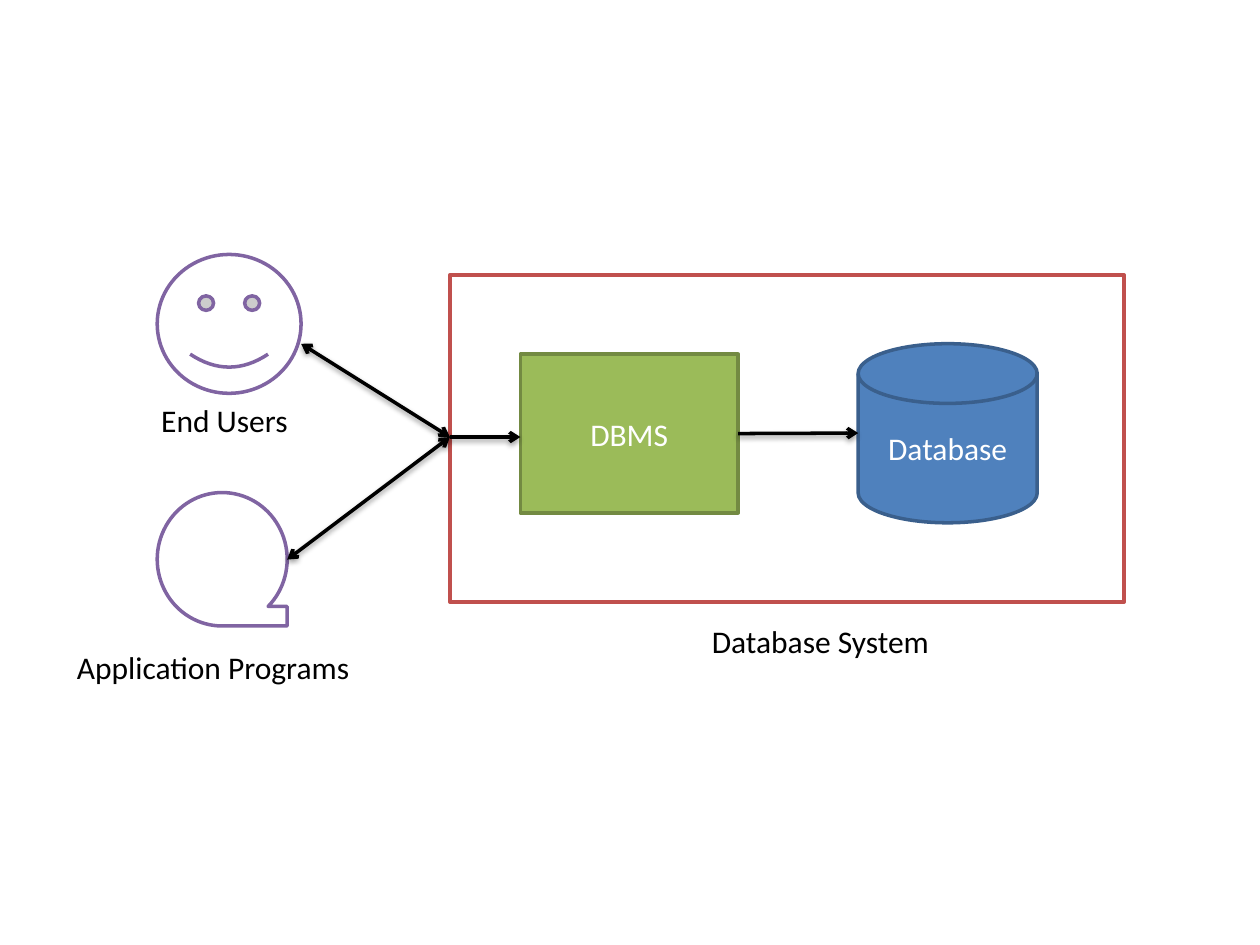
from pptx import Presentation
from pptx import util as u
from pptx.dml.color import RGBColor
from pptx.enum import shapes, text
from pptx.oxml import parse_xml
from pptx.oxml.ns import nsdecls
from lxml import etree

C = {"white": "FFFFFF", "black": "000000", "red": "C0504D", "green": "9BBB59",
     "olive": "738A42", "blue": "4F81BD", "navy": "3A5F8C", "purple": "8064A2"}
M = shapes.MSO_SHAPE

prs = Presentation()
prs.slide_width, prs.slide_height = u.Cm(25.4), u.Cm(19.05)
s = prs.slides.add_slide(prs.slide_layouts[6])


def write(tf, words, color, align):
    p = tf.paragraphs[0]
    p.alignment = align
    r = p.add_run()
    r.text = words
    r.font.size = u.Pt(18)
    r.font.name = "Calibri"
    r.font.color.rgb = RGBColor.from_string(C[color])


for kind, x, y, w, h, fill, line, words in [
    (M.RECTANGLE, 9.07, 5.54, 13.59, 6.6, "white", "red", ""),
    (M.RECTANGLE, 10.49, 7.14, 4.39, 3.2, "green", "olive", "DBMS"),
    (M.FLOWCHART_MAGNETIC_DISK, 17.3, 6.93, 3.61, 3.61, "blue", "navy", "Database"),
    (M.SMILEY_FACE, 3.17, 5.13, 2.9, 2.8, "white", "purple", ""),
    (M.FLOWCHART_SEQUENTIAL_ACCESS_STORAGE, 3.17, 9.93, 2.62, 2.69, "white", "purple", ""),
]:
    sp = s.shapes.add_shape(kind, u.Cm(x), u.Cm(y), u.Cm(w), u.Cm(h))
    sp.shadow.inherit = False
    sp.fill.solid()
    sp.fill.fore_color.rgb = RGBColor.from_string(C[fill])
    sp.line.color.rgb = RGBColor.from_string(C[line])
    sp.line.width = u.Pt(2)
    if words:
        sp.text_frame.vertical_anchor = text.MSO_ANCHOR.MIDDLE
        write(sp.text_frame, words, "white", text.PP_ALIGN.CENTER)

for words, x, y, w in [
    ("Database System", 14.1, 12.42, 9.19),
    ("End Users", 3, 7.95, 3.18),
    ("Application Programs", 1.3, 12.93, 7.11),
]:
    tf = s.shapes.add_textbox(u.Cm(x), u.Cm(y), u.Cm(w), u.Cm(1.02)).text_frame
    tf.word_wrap = True
    tf.auto_size = text.MSO_AUTO_SIZE.SHAPE_TO_FIT_TEXT
    write(tf, words, "black", text.PP_ALIGN.LEFT)

entry = (9.07, 8.81)
for start, end, ends in [
    ((6.07, 6.93), entry, ("headEnd", "tailEnd")),
    ((5.79, 11.28), entry, ("headEnd", "tailEnd")),
    (entry, (10.49, 8.81), ("tailEnd",)),
    ((14.88, 8.74), (17.3, 8.73), ("tailEnd",)),
]:
    cx = s.shapes.add_connector(shapes.MSO_CONNECTOR.STRAIGHT,
                                *[u.Cm(v) for v in start + end])
    cx.line.color.rgb = RGBColor.from_string(C["black"])
    cx.line.width = u.Pt(2)
    ln = cx.line._get_or_add_ln()
    for tag in ends:
        etree.SubElement(ln, "{%s}%s" % (ln.nsmap["a"], tag), type="arrow")
    cx._element.spPr.append(parse_xml(
        f'<a:effectLst {nsdecls("a")}>'
        '<a:outerShdw blurRad="40000" dist="20000" dir="5400000" rotWithShape="0">'
        f'<a:srgbClr val="{C["black"]}"><a:alpha val="38000"/></a:srgbClr>'
        '</a:outerShdw></a:effectLst>'))

prs.save("out.pptx")
